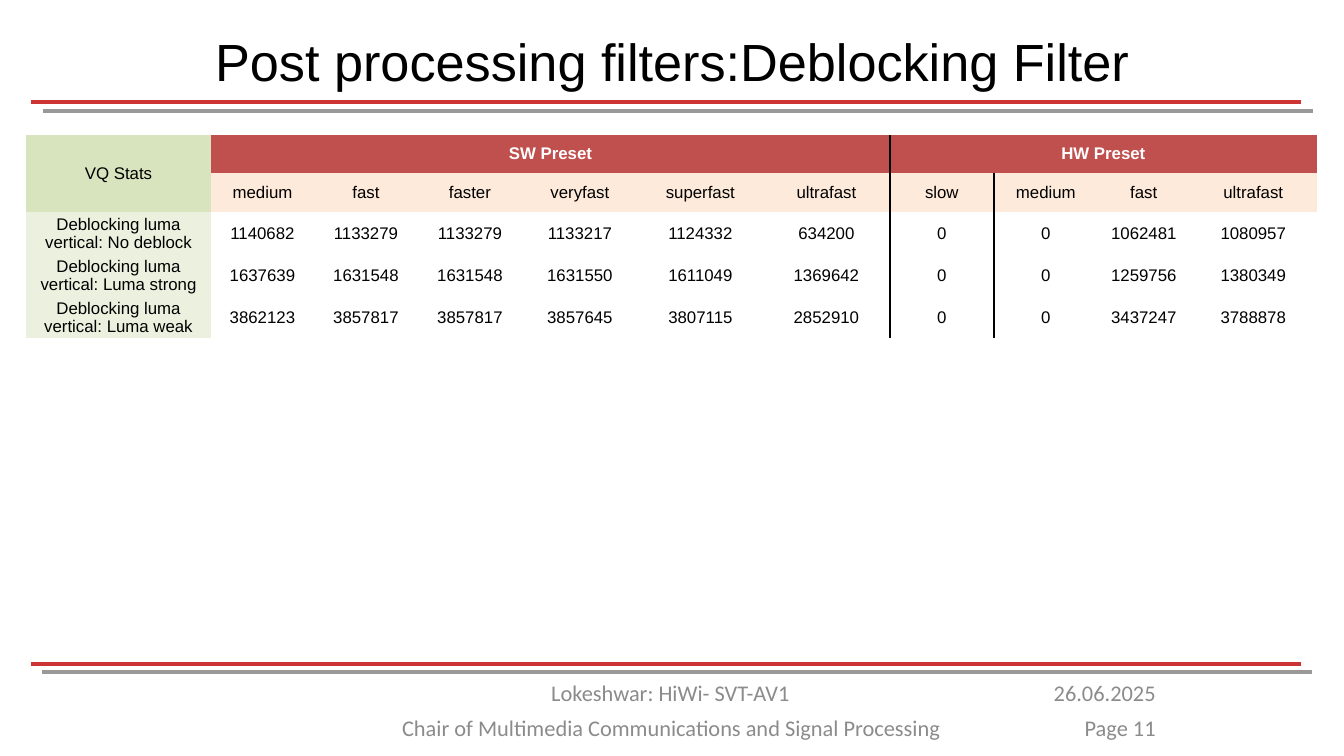
from lxml import etree
from pptx import Presentation
from pptx.dml.color import RGBColor
from pptx.enum.shapes import MSO_CONNECTOR
from pptx.enum.text import MSO_ANCHOR, PP_ALIGN
from pptx.oxml.ns import qn
from pptx.util import Pt

STRAIGHT = MSO_CONNECTOR.STRAIGHT
MIDDLE, TOP = MSO_ANCHOR.MIDDLE, MSO_ANCHOR.TOP
CENTER, RIGHT = PP_ALIGN.CENTER, PP_ALIGN.RIGHT

# Content
TITLE = "Post processing filters:Deblocking Filter"
CORNER = "VQ Stats"
GROUPS = [("SW Preset", 1, 6), ("HW Preset", 7, 10)]  # text, first and last column
PRESETS = ["medium", "fast", "faster", "veryfast", "superfast", "ultrafast",
           "slow", "medium", "fast", "ultrafast"]
STATS = [
    ("Deblocking luma vertical: No deblock", 1140682, 1133279, 1133279, 1133217,
     1124332, 634200, 0, 0, 1062481, 1080957),
    ("Deblocking luma vertical: Luma strong", 1637639, 1631548, 1631548, 1631550,
     1611049, 1369642, 0, 0, 1259756, 1380349),
    ("Deblocking luma vertical: Luma weak", 3862123, 3857817, 3857817, 3857645,
     3807115, 2852910, 0, 0, 3437247, 3788878),
]
FOOTERS = [  # text, left, top, width, alignment
    ("Chair of Multimedia Communications and Signal Processing", 349, 708, 645, CENTER),
    ("Lokeshwar: HiWi- SVT-AV1", 348, 673, 645, CENTER),
    ("26.06.2025", 1032, 673, 137, RIGHT),
    ("Page 11", 1011, 708, 158, RIGHT),
]
RULES = [("red", 31, 102), ("gray", 43, 111), ("red", 31, 664), ("gray", 42, 672)]
RULE_W = 1270

# Sizes in px
COLS = [185, 103, 104, 104, 116, 125, 127, 104, 104, 92, 127]
ROWS = [38, 39, 42, 42, 42]
COLORS = {"red": "CC3333", "gray": "999999", "foot": "8B8B8B", "black": "000000",
          "white": "FFFFFF", "corner": "D7E4BD", "group": "C0504D",
          "preset": "FDEADA", "label": "EBF1DE"}
NO_GRID = "{2D5ABB26-0587-4C30-8999-92F81FD0307C}"


def px(n):
    return round(n * 914400 / 134.4)


def rgb(name):
    return RGBColor.from_string(COLORS[name])


def style(para, size, color, align, face="Arial", bold=False):
    para.alignment = align
    font = para.font
    font.name, font.size, font.bold = face, Pt(size), bold
    font.color.rgb = rgb(color)


def set_cell(cell, text, fill=None, color="black", bold=False, pad=9, anchor=MIDDLE):
    cell.text = str(text)
    cell.vertical_anchor = anchor
    cell.margin_left = cell.margin_right = cell.margin_top = px(pad)
    cell.margin_bottom = px(pad if pad > 1 else 0)
    if fill:
        cell.fill.solid()
        cell.fill.fore_color.rgb = rgb(fill)
    else:
        cell.fill.background()
    style(cell.text_frame.paragraphs[0], 9, color, CENTER, bold=bold)


def add_edge(cell, side):
    props = cell._tc.get_or_add_tcPr()
    line = etree.Element(qn("a:ln" + side), w=str(Pt(1)))
    solid = etree.SubElement(line, qn("a:solidFill"))
    etree.SubElement(solid, qn("a:srgbClr"), val=COLORS["black"])
    # Left edge comes first, both come before the fill
    props.insert(len(props.findall(qn("a:lnL"))), line)


prs = Presentation()
prs.slide_width, prs.slide_height = px(1344), px(756)
slide = prs.slides.add_slide(prs.slide_layouts[5])
shapes = slide.shapes

# Title
title = shapes.title
title.left, title.top, title.width, title.height = px(67), px(19), px(1210), px(83)
title.text = TITLE
title.text_frame.vertical_anchor = MIDDLE
style(title.text_frame.paragraphs[0], 28, "black", CENTER)

# Rules
for color, x, y in RULES:
    rule = shapes.add_connector(STRAIGHT, px(x), px(y), px(x + RULE_W), px(y))
    rule.line.color.rgb = rgb(color)
    rule.line.width = Pt(2.25)
    etree.SubElement(rule._element.spPr, qn("a:effectLst"))

# Footer
for text, x, y, w, align in FOOTERS:
    frame = shapes.add_textbox(px(x), px(y), px(w), px(40)).text_frame
    frame.word_wrap = True
    frame.text = text
    style(frame.paragraphs[0], 12, "foot", align, "Calibri")

# Table
frame = shapes.add_table(len(ROWS), len(COLS), px(26), px(135),
                         px(sum(COLS)), px(sum(ROWS)))
table = frame.table
table.first_row = table.horz_banding = False
table._tbl.tblPr.find(qn("a:tableStyleId")).text = NO_GRID
for col, w in zip(table.columns, COLS):
    col.width = px(w)
for row, h in zip(table.rows, ROWS):
    row.height = px(h)

# Header cells
table.cell(0, 0).merge(table.cell(1, 0))
set_cell(table.cell(0, 0), CORNER, "corner")
for text, first, last in GROUPS:
    table.cell(0, first).merge(table.cell(0, last))
    set_cell(table.cell(0, first), text, "group", "white", True, anchor=TOP)
for c, text in enumerate(PRESETS, 1):
    set_cell(table.cell(1, c), text, "preset")

# Body cells
for r, stats in enumerate(STATS, 2):
    for c, value in enumerate(stats):
        set_cell(table.cell(r, c), value, "label" if c == 0 else None, pad=1)

# Dividers around the "slow" column
add_edge(table.cell(0, 1), "R")
add_edge(table.cell(0, 7), "L")
for r in range(1, len(ROWS)):
    for c, side in ((6, "R"), (7, "L"), (7, "R")):
        add_edge(table.cell(r, c), side)

prs.save("out.pptx")
